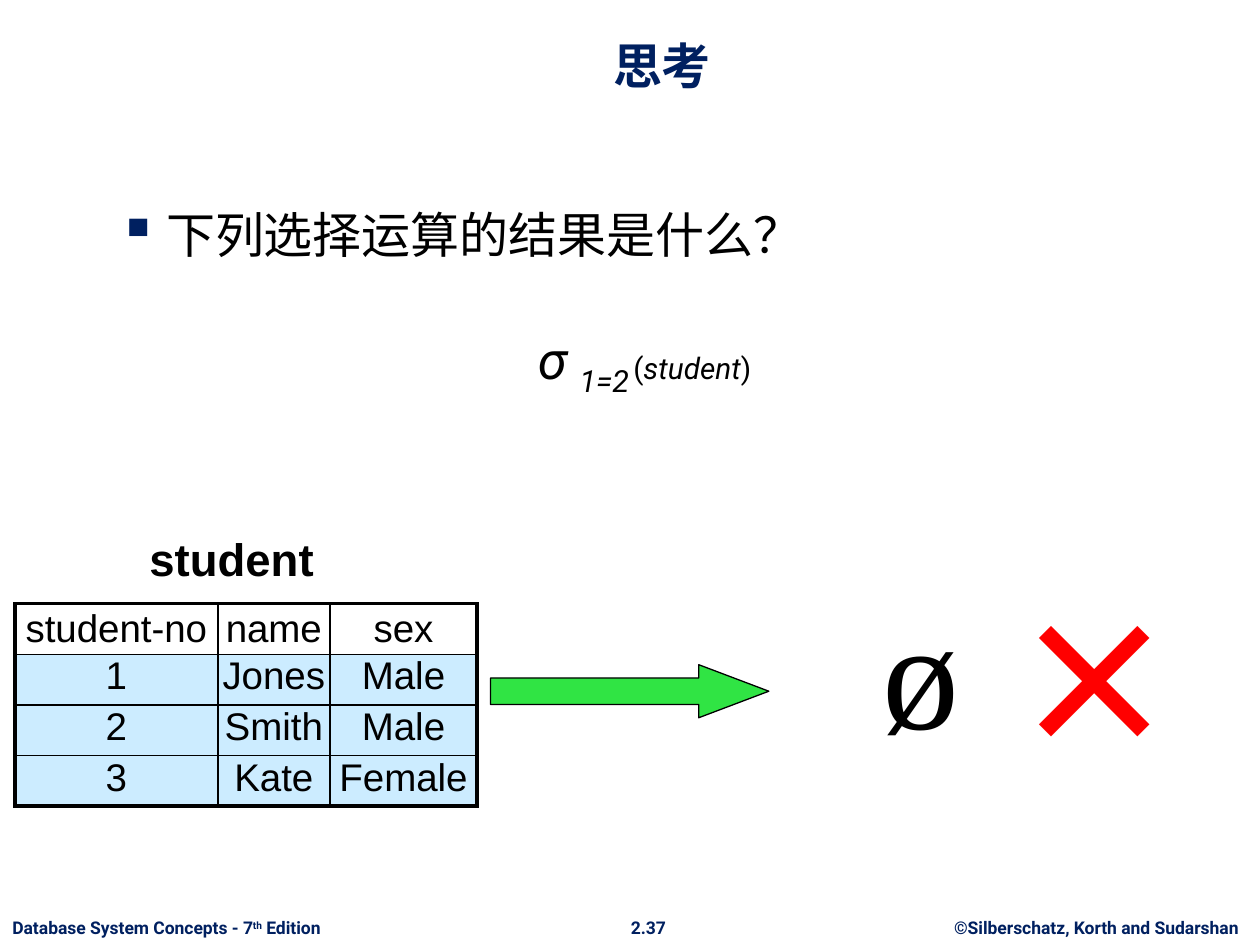
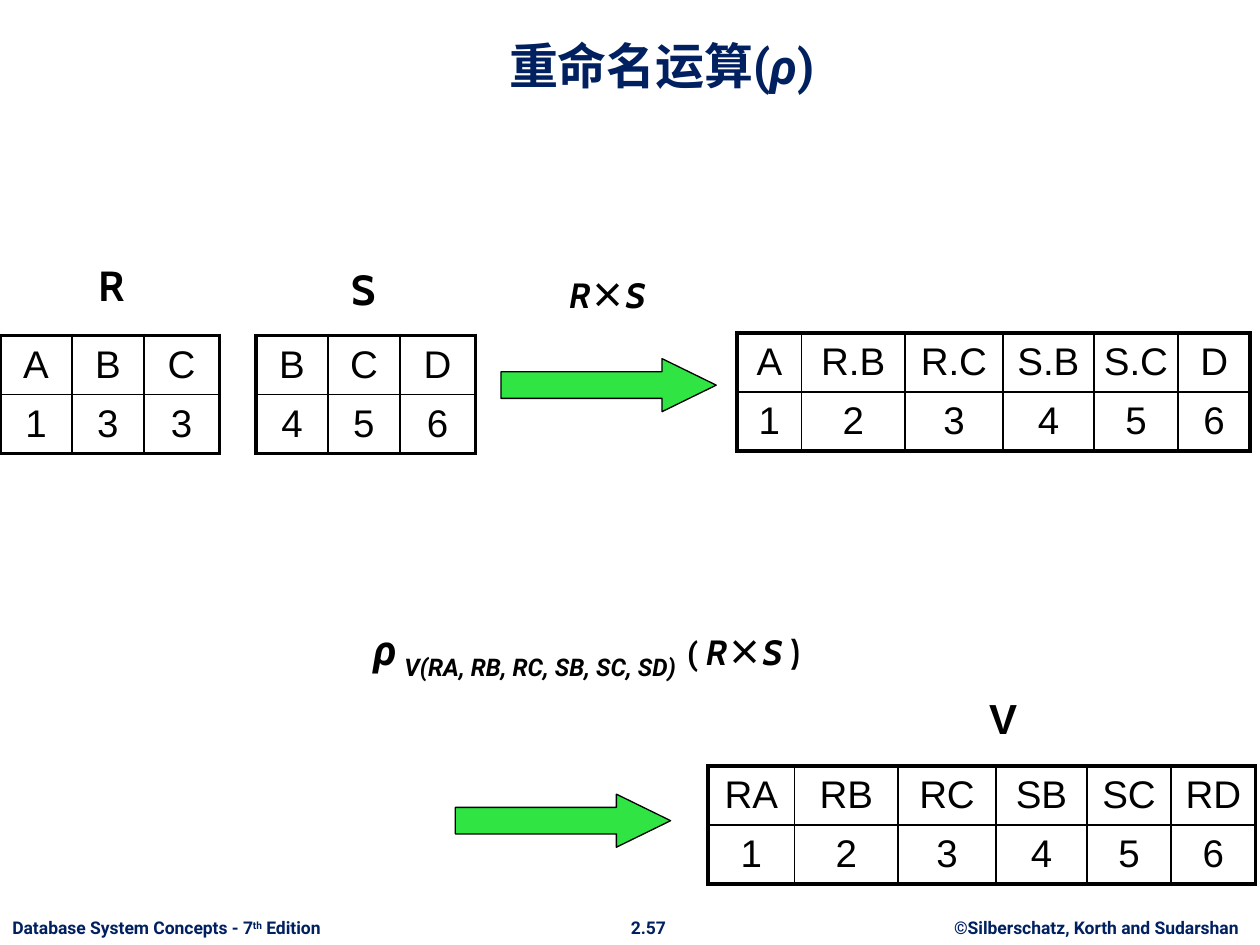
from dataclasses import dataclass

from lxml import etree
from pptx import Presentation
from pptx.dml.color import RGBColor
from pptx.enum.shapes import MSO_SHAPE
from pptx.enum.text import MSO_ANCHOR, PP_ALIGN
from pptx.oxml.ns import qn
from pptx.util import Cm, Pt

ARROW = MSO_SHAPE.RIGHT_ARROW
LEFT, CENTER = PP_ALIGN.LEFT, PP_ALIGN.CENTER
TOP, MIDDLE, BOTTOM = MSO_ANCHOR.TOP, MSO_ANCHOR.MIDDLE, MSO_ANCHOR.BOTTOM


@dataclass(frozen=True)
class Theme:
    navy: str = "002060"
    black: str = "000000"
    white: str = "FFFFFF"
    green: str = "30E444"
    red: str = "FF0000"
    sky: str = "CCECFF"
    main: str = "Roboto"
    label: str = "Cabin"
    grid: str = "Arial"
    serif: str = "Times New Roman"
    asian: str = "Noto Sans CJK SC"
    head: int = 28
    sigma: int = 30
    name: int = 24
    caption: int = 26
    cell: int = 22
    math: int = 20
    gap: int = 18
    small: int = 17
    foot: int = 10
    empty: int = 88
    cross: int = 96
    thick: float = 2.25
    thin: float = 1
    edge: float = 0.75


T = Theme()


# Text
def style(run, size, font=T.main, color=T.black, bold=False, italic=False, base=0):
    face = run.font
    face.size, face.name = Pt(size), font
    face.bold, face.italic = bold, italic
    face.color.rgb = RGBColor.from_string(color)
    props = run._r.get_or_add_rPr()
    etree.SubElement(props, qn("a:ea")).set("typeface", T.asian)
    if base:
        props.set("baseline", str(base * 1000))


def write(slide, box, parts, align=CENTER, anchor=TOP, wrap=True, pad=0.25, **look):
    """Add one paragraph; parts are (text, changes to the common look)."""
    frame = slide.shapes.add_textbox(*map(Cm, box)).text_frame
    frame.word_wrap = wrap
    frame.vertical_anchor = anchor
    frame.margin_left = frame.margin_right = Cm(pad)
    para = frame.paragraphs[0]
    para.alignment = align
    for text, change in parts:
        run = para.add_run()
        run.text = text
        style(run, **{**look, **change})
    return para


def bullet(para, indent):
    props = para._p.get_or_add_pPr()
    props.set("marL", str(Cm(indent)))
    props.set("indent", str(-Cm(indent)))
    tint = etree.SubElement(props, qn("a:buClr"))
    etree.SubElement(tint, qn("a:srgbClr")).set("val", T.navy)
    etree.SubElement(props, qn("a:buSzPct")).set("val", "110000")
    etree.SubElement(props, qn("a:buChar")).set("char", "▪")


# Tables
def border(cell, side, width):
    props = cell._tc.get_or_add_tcPr()
    line = etree.SubElement(props, qn(f"a:ln{side}"), w=str(Pt(width)))
    fill = etree.SubElement(line, qn("a:solidFill"))
    etree.SubElement(fill, qn("a:srgbClr")).set("val", T.black)


def relation(slide, left, top, cols, height, rows, tint=None, pad=(0.1, 0.13), lead=1):
    """Draw a relation with a heavy frame and thin inner lines."""
    count, wide = len(rows), len(cols)
    box = (left, top, sum(cols), height * count)
    table = slide.shapes.add_table(count, wide, *map(Cm, box)).table
    table.first_row = table.horz_banding = False
    for col, width in zip(table.columns, cols):
        col.width = Cm(width)
    for r, row in enumerate(rows):
        table.rows[r].height = Cm(height)
        for c, text in enumerate(row):
            cell = table.cell(r, c)
            cell.margin_left = cell.margin_right = Cm(pad[0])
            cell.margin_top = cell.margin_bottom = Cm(pad[1])
            cell.vertical_anchor = MIDDLE
            outer = {"L": c == 0, "R": c == wide - 1, "T": r == 0, "B": r == count - 1}
            for side, heavy in outer.items():
                border(cell, side, T.thick if heavy else T.thin)
            color = T.white if r == 0 else tint
            if color:
                cell.fill.solid()
                cell.fill.fore_color.rgb = RGBColor.from_string(color)
            else:
                cell.fill.background()
            para = cell.text_frame.paragraphs[0]
            para.text = text
            para.alignment = CENTER
            if r and lead != 1:
                para.line_spacing = lead
            style(para.runs[0], T.cell, T.grid)


# Arrow whose head takes a quarter of its length
def arrow(slide, left, top, width, height=1.07):
    shape = slide.shapes.add_shape(ARROW, *map(Cm, (left, top, width, height)))
    shape.shadow.inherit = False
    shape.adjustments[0] = 0.5
    shape.adjustments[1] = 0.252 * width / height
    shape.fill.solid()
    shape.fill.fore_color.rgb = RGBColor.from_string(T.green)
    shape.line.color.rgb = RGBColor.from_string(T.black)
    shape.line.width = Pt(T.edge)


# Title and footer shared by all slides
def frame(deck, title, page):
    slide = deck.slides.add_slide(deck.slide_layouts[6])
    top, height = 18.36, 0.69
    notes = [
        (18.8, 6.6, CENTER, [("©Silberschatz, Korth and Sudarshan", {})]),
        (12.45, 1.24, CENTER, [(page, {})]),
        (0, 7.14, LEFT, [("Database System Concepts - 7", {}),
                         ("th", {"base": 30}), (" Edition", {})]),
    ]
    for left, width, align, parts in notes:
        write(slide, (left, top, width, height), parts, align, wrap=False,
              size=T.foot, color=T.navy, bold=True)
    write(slide, (2.13, 0.33, 22.43, 1.7), title, anchor=BOTTOM,
          size=T.head, color=T.navy, bold=True)
    return slide


def think(deck):
    slide = frame(deck, [("思考", {})], "2.37")

    # Question and formula
    para = write(slide, (2.13, 4, 21.41, 1.7), [("下列选择运算的结果是什么？", {})],
                 LEFT, size=T.head)
    bullet(para, 0.97)
    write(slide, (2.29, 6.46, 21.41, 1.6), [
        ("σ ", {"size": T.sigma, "italic": True}),
        ("1=2", {"size": T.sigma, "italic": True, "base": -25}),
        (" ", {"base": -25}),
        ("(", {}),
        ("student", {"italic": True}),
        (")", {}),
    ], size=T.small)

    # Relation
    relation(slide, 0.3, 12.17, (4.09, 2.26, 2.97), 1.02, [
        ("student-no", "name", "sex"),
        ("1", "Jones", "Male"),
        ("2", "Smith", "Male"),
        ("3", "Kate", "Female"),
    ], T.sky, (0, 0), 0.8)
    write(slide, (2.13, 10.59, 5.08, 1.35), [("student", {})],
          size=T.caption, font=T.grid, bold=True)

    # Result
    arrow(slide, 9.89, 13.4, 5.61)
    write(slide, (17.55, 11.48, 2.34, 3.99), [("ø", {})], LEFT,
          size=T.empty, font=T.serif)
    write(slide, (20.37, 11.51, 3.43, 4.32), [("×", {})], LEFT, pad=0,
          size=T.cross, font=T.asian, color=T.red, bold=True)


def rename(deck):
    slide = frame(deck, [("重命名运算(", {}), ("ρ", {"italic": True}), (")", {})], "2.57")
    letter = {"size": T.math, "font": T.label, "italic": True}
    times = {"size": T.math, "font": T.asian}
    product = [("R", letter), ("×", times), ("S", letter)]
    middle, height = (2.08, 1.98, 1.83, 1.7), 1.18
    values = tuple("123456")

    # Relations: left, top, columns, rows
    small = (1.45, 1.45, 1.52)
    for left, top, cols, rows in (
        (14.86, 6.71, (1.3, *middle, 1.45),
         [("A", "R.B", "R.C", "S.B", "S.C", "D"), values]),
        (0, 6.76, small, ["ABC", "133"]),
        (5.16, 6.76, small, ["BCD", "456"]),
        (14.27, 15.44, (1.75, *middle, 1.7),
         [("RA", "RB", "RC", "SB", "SC", "RD"), values]),
    ):
        relation(slide, left, top, cols, height, rows)

    # Relation names
    for text, left, top, width, font in (
        ("R", 1.09, 5.11, 2.34, T.label),
        ("S", 6.17, 5.18, 2.34, T.label),
        ("V", 17.68, 13.84, 5.08, T.grid),
    ):
        write(slide, (left, top, width, 1.27), [(text, {})],
              size=T.name, font=font, bold=True)

    # Product, then renaming
    write(slide, (10.34, 5.38, 3.81, 1.09), product, size=T.math, bold=True)
    arrow(slide, 10.1, 7.23, 4.34)
    write(slide, (5.99, 12.45, 11.68, 1.27), [
        ("ρ", {"size": T.name, "italic": True}),
        (" ", {}),
        ("V(RA, RB, RC, SB, SC, SD)", {"size": T.name, "italic": True, "base": -25}),
        (" ", {"size": T.name}),
        ("( ", {}),
        *product,
        (" ", letter),
        (")", {**letter, "italic": False}),
    ], size=T.gap, bold=True)
    arrow(slide, 9.18, 16.01, 4.34)


def main():
    deck = Presentation()
    deck.slide_width, deck.slide_height = Cm(25.4), Cm(19.05)
    think(deck)
    rename(deck)
    deck.save("out.pptx")


if __name__ == "__main__":
    main()
